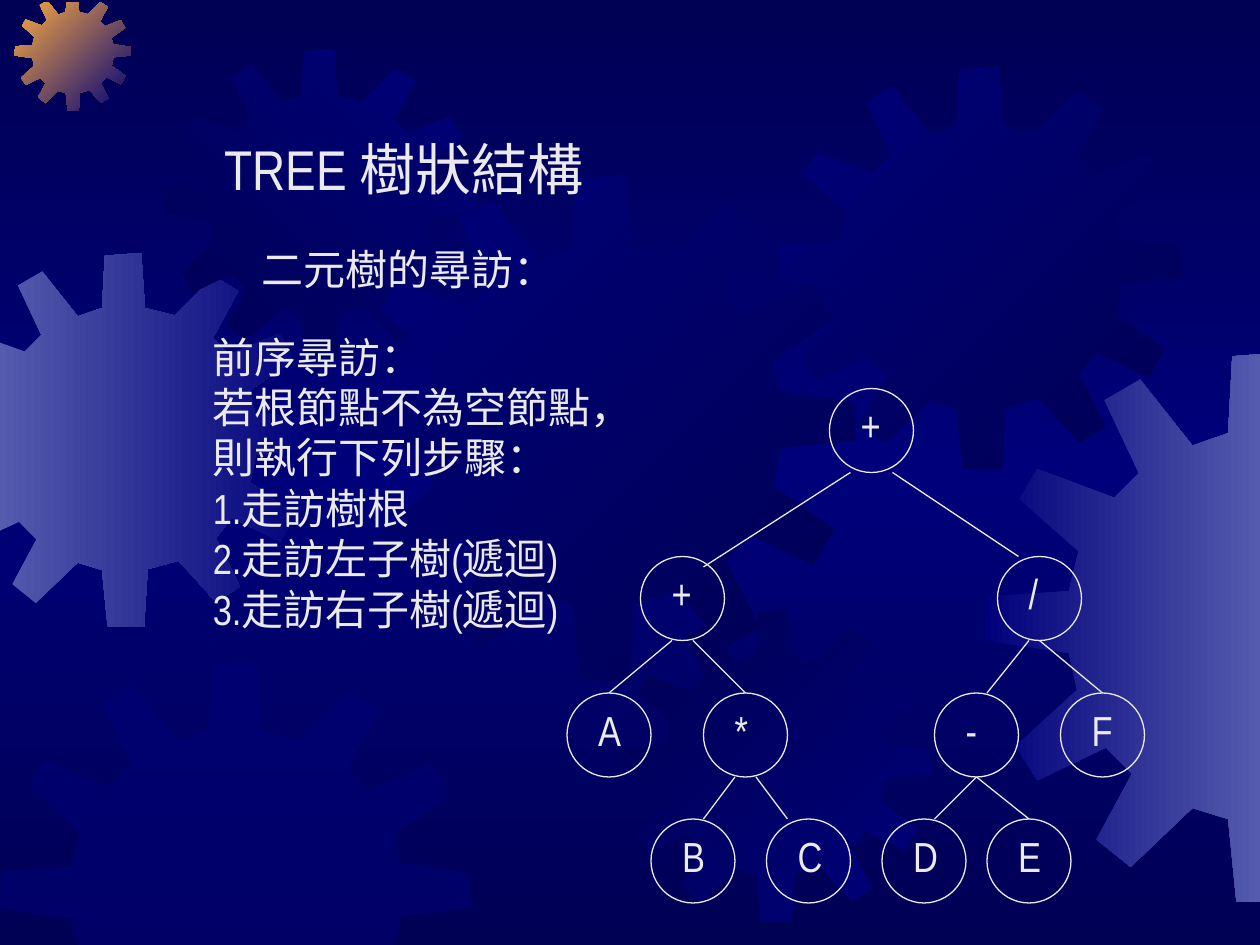
from copy import deepcopy
from dataclasses import dataclass

import pptx
import pptx.dml.color
import pptx.enum.shapes
import pptx.enum.text
import pptx.oxml
import pptx.oxml.ns
import pptx.util
from pptx.util import Cm

COLORS = {"dark": "000054", "blue": "00007A", "pale": "555BAD",
          "orange": "FCAB40", "text": "EAEAEA"}
FONT = "Arial Narrow"
GRID = Cm(25.4 / 120)  # The tree sits on a grid of 120 units across the slide
NODE_UNITS = 8
GEAR_UNITS = 401
GEAR_OUTLINE = [
    (255, 67), (223, 59), (219, 0), (180, 3), (177, 59), (151, 68),
    (113, 20), (87, 35), (112, 88), (94, 106), (38, 85), (25, 107),
    (68, 145), (61, 174), (1, 178), (0, 210), (61, 219), (67, 246),
    (22, 287), (38, 312), (88, 288), (107, 307), (81, 355), (106, 375),
    (151, 332), (177, 340), (183, 400), (222, 401), (226, 339), (259, 330),
    (299, 374), (325, 358), (299, 306), (316, 284), (368, 309), (384, 281),
    (336, 246), (342, 216), (401, 210), (400, 180), (341, 171), (335, 148),
    (383, 114), (367, 87), (313, 109), (296, 91), (323, 41), (297, 25),
]
# Slide edges in cm: axis, limit, and the sign of the side that is kept
EDGES = [(0, -0.02, 1), (0, 25.42, -1), (1, 0.05, 1), (1, 19.14, -1)]


@dataclass
class Gear:
    left: float
    top: float
    size: float
    colors: tuple[str, ...]
    angle: int = 0  # clockwise


@dataclass
class Node:
    label: str
    column: int
    row: int
    label_width: float


@dataclass
class Branch:
    start: tuple[int, int]
    end: tuple[int, int]


GEARS = [
    Gear(-1.27, 5.1, 7.54, ("pale", "blue")),
    Gear(0.3, -0.1, 2.33, ("orange", "blue"), 45),
    Gear(3.3, 0.99, 6.3, ("dark", "blue"), 315),
    Gear(7.04, 3.53, 10.2, ("blue", "dark"), 45),
    Gear(0, 13.34, 9.5, ("blue",)),
    Gear(12.47, 12.29, 6.3, ("dark", "blue"), 45),
    Gear(15.7, 1.35, 8.12, ("blue", "dark"), 45),
    Gear(19.86, 7.1, 11.1, ("blue", "pale")),
]
NODES = [
    Node("+", 79, 37, 0.91), Node("+", 61, 53, 0.91), Node("/", 95, 53, 0.69),
    Node("A", 54, 66, 0.97), Node("*", 67, 66, 0.76), Node("-", 89, 66, 0.74),
    Node("F", 101, 66, 0.91), Node("B", 62, 78, 0.97), Node("C", 73, 78, 0.99),
    Node("D", 84, 78, 0.99), Node("E", 94, 78, 0.97),
]
BRANCHES = [
    Branch((81, 45), (67, 54)), Branch((85, 45), (97, 53)),
    Branch((64, 61), (58, 66)), Branch((66, 61), (71, 66)),
    Branch((98, 61), (94, 66)), Branch((99, 61), (105, 66)),
    Branch((70, 74), (67, 78)), Branch((72, 74), (75, 78)),
    Branch((93, 74), (89, 78)), Branch((93, 74), (98, 78)),
]
STEPS = """前序尋訪：
若根節點不為空節點，
則執行下列步驟：
1.走訪樹根
2.走訪左子樹(遞迴)
3.走訪右子樹(遞迴)"""


def rgb(name: str) -> pptx.dml.color.RGBColor:
    return pptx.dml.color.RGBColor.from_string(COLORS[name])


def set_gradient(fill, colors: tuple[str, ...], angle: int) -> None:
    fill.gradient()
    fill.gradient_angle = (360 - angle) % 360
    for position, (stop, color) in enumerate(zip(fill.gradient_stops, colors)):
        stop.color.rgb = rgb(color)
        stop.position = position


def set_background(slide) -> None:
    set_gradient(slide.background.fill, ("dark", "blue"), 90)
    stops = slide.element.find(".//" + pptx.oxml.ns.qn("a:gsLst"))
    stops[1].set("pos", "50000")
    last = deepcopy(stops[0])
    last.set("pos", "100000")
    stops.append(last)


def clip(points: list, axis: int, limit: float, sign: int) -> list:
    """Keep the part of a polygon on one side of a slide edge."""
    kept = []
    for start, end in zip(points[-1:] + points[:-1], points):
        start_inside = sign * (start[axis] - limit) >= 0
        end_inside = sign * (end[axis] - limit) >= 0
        if start_inside != end_inside:
            share = (limit - start[axis]) / (end[axis] - start[axis])
            kept.append(tuple(a + share * (b - a) for a, b in zip(start, end)))
        if end_inside:
            kept.append(end)
    return kept


def draw_gear(slide, gear: Gear) -> None:
    scale = gear.size / GEAR_UNITS
    points = [(gear.left + x * scale, gear.top + y * scale) for x, y in GEAR_OUTLINE]
    for edge in EDGES:
        points = clip(points, *edge)
    vertices = [(Cm(x), Cm(y)) for x, y in points]
    builder = slide.shapes.build_freeform(*vertices[0])
    builder.add_line_segments(vertices[1:], close=True)
    shape = builder.convert_to_shape()
    shape.shadow.inherit = False
    shape.line.fill.background()
    if len(gear.colors) > 1:
        set_gradient(shape.fill, gear.colors, gear.angle)
    else:
        shape.fill.solid()
        shape.fill.fore_color.rgb = rgb(gear.colors[0])
        color = shape.element.spPr.find(".//" + pptx.oxml.ns.qn("a:srgbClr"))
        color.append(pptx.oxml.parse_xml(
            f'<a:alpha {pptx.oxml.ns.nsdecls("a")} val="50000"/>'))


def write_text(shape, text: str, size: int = 24) -> None:
    frame = shape.text_frame
    frame.text = text
    frame.word_wrap = False
    frame.auto_size = pptx.enum.text.MSO_AUTO_SIZE.SHAPE_TO_FIT_TEXT
    frame.vertical_anchor = pptx.enum.text.MSO_ANCHOR.TOP
    for paragraph in frame.paragraphs:
        paragraph.alignment = pptx.enum.text.PP_ALIGN.LEFT
        for run in paragraph.runs:
            run.font.name = FONT
            run.font.size = pptx.util.Pt(size)
            run.font.color.rgb = rgb("text")


def set_line(shape) -> None:
    shape.line.color.rgb = rgb("text")
    shape.line.width = pptx.util.Pt(0.75)


def draw_node(slide, node: Node) -> None:
    group = slide.shapes.add_group_shape()
    left, top, size = (GRID * units for units in (node.column, node.row, NODE_UNITS))
    circle = group.shapes.add_shape(
        pptx.enum.shapes.MSO_SHAPE.OVAL, left, top, size, size)
    circle.shadow.inherit = False
    circle.fill.background()
    set_line(circle)
    label = group.shapes.add_textbox(
        left + Cm(0.38), top + Cm(0.1), Cm(node.label_width), Cm(1.27))
    write_text(label, node.label)


def draw_branch(slide, branch: Branch) -> None:
    ends = [GRID * units for units in branch.start + branch.end]
    connector = slide.shapes.add_connector(
        pptx.enum.shapes.MSO_CONNECTOR.STRAIGHT, *ends)
    set_line(connector)
    connector.element.spPr.append(pptx.oxml.parse_xml(
        f'<a:effectLst {pptx.oxml.ns.nsdecls("a")}/>'))


def main() -> None:
    presentation = pptx.Presentation()
    presentation.slide_width, presentation.slide_height = Cm(25.4), Cm(19.05)
    slide = presentation.slides.add_slide(presentation.slide_layouts[5])

    # Background and gears
    set_background(slide)
    for gear in GEARS:
        draw_gear(slide, gear)

    # Title, brought in front of the gears
    title = slide.shapes.title
    title.element.getparent().append(title.element)
    title.left, title.top, title.width, title.height = Cm(4.27), Cm(2.59), Cm(8.03), Cm(1.63)
    write_text(title, "TREE 樹狀結構", 32)

    # Subtitle and traversal steps
    subtitle = slide.shapes.add_textbox(Cm(5.03), Cm(4.78), Cm(6.43), Cm(1.27))
    write_text(subtitle, "二元樹的尋訪：")
    steps = slide.shapes.add_textbox(Cm(4.04), Cm(6.55), Cm(8.97), Cm(6.35))
    write_text(steps, STEPS)

    # Binary tree
    for node in NODES:
        draw_node(slide, node)
    for branch in BRANCHES:
        draw_branch(slide, branch)

    presentation.save("out.pptx")


if __name__ == "__main__":
    main()
